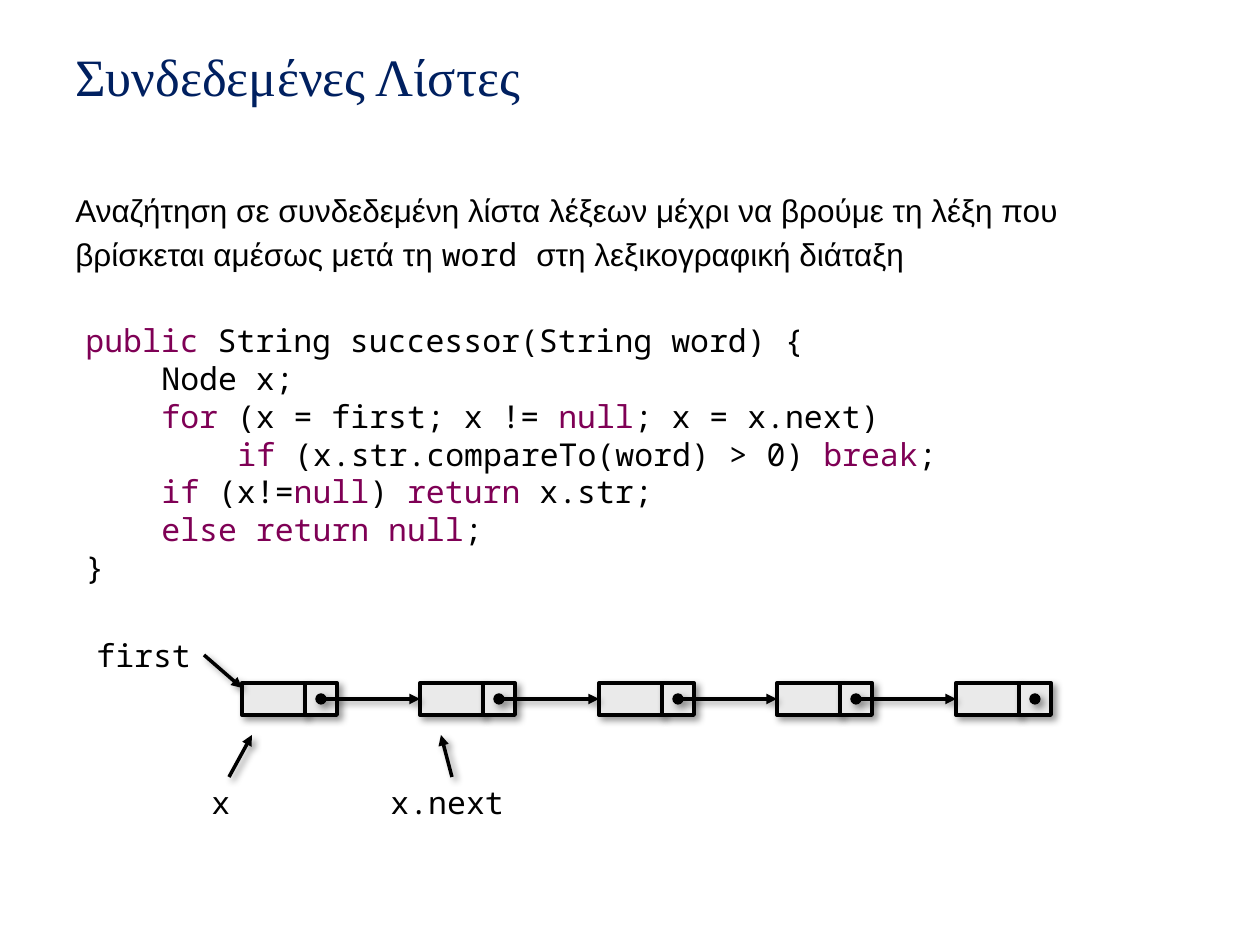
from pptx import Presentation
from pptx.dml.color import RGBColor
from pptx.enum.shapes import MSO_CONNECTOR, MSO_SHAPE
from pptx.enum.text import MSO_AUTO_SIZE
from pptx.oxml import parse_xml
from pptx.oxml.ns import nsdecls
from pptx.util import Pt

SCALE = 914400 // 126
SANS, MONO, SERIF = "Arial", "Noto Sans Mono", "Times New Roman"
BLACK, NAVY, KEYWORD, CELL_FILL = "000000", "002060", "7F0055", "EAEAEA"

TITLE = "Συνδεδεμένες Λίστες"
INTRO = [
    ("Αναζήτηση σε συνδεδεμένη λίστα λέξεων μέχρι να βρούμε τη λέξη που "
     "βρίσκεται αμέσως μετά τη ", SANS, BLACK),
    ("word ", MONO, BLACK),
    ("στη λεξικογραφική διάταξη", SANS, BLACK),
]
CODE = [
    (0, [("public", KEYWORD), (" String successor(String word) {", BLACK)]),
    (1, [("Node x;", BLACK)]),
    (1, [("for", KEYWORD), (" (x = first; x != ", BLACK), ("null", KEYWORD),
         ("; x = x.next)", BLACK)]),
    (2, [("if", KEYWORD), (" (x.str.compareTo(word) > 0) ", BLACK),
         ("break", KEYWORD), (";", BLACK)]),
    (1, [("if", KEYWORD), (" (x!=", BLACK), ("null", KEYWORD), (") ", BLACK),
         ("return ", KEYWORD), ("x.str;", BLACK)]),
    (1, [("else return null", KEYWORD), (";", BLACK)]),
    (0, [("}", BLACK)]),
]
LABELS = [("first", (84, 630, 120, 50)), ("x", (199, 777, 60, 50)),
          ("x.next", (378, 777, 147, 50))]
POINTERS = [(204, 655, 242, 688), (229, 777, 252, 735), (452, 777, 441, 735)]

NODE_COUNT = 5
FIRST_NODE, LAST_NODE = 242, 956
NODE_TOP, CELL_HEIGHT = 683, 32
VALUE_WIDTH, LINK_WIDTH, DOT_SIZE = 63, 32, 10
CODE_INDENT = 76


def px(*lengths):
    return [length * SCALE for length in lengths]


def color(value):
    return RGBColor.from_string(value)


def add_text(shapes, box, paragraphs, size=18, wrap=True, grow=True, spacing=None):
    frame = shapes.add_textbox(*px(*box)).text_frame
    fit = MSO_AUTO_SIZE.SHAPE_TO_FIT_TEXT if grow else MSO_AUTO_SIZE.NONE
    for name, value in {"word_wrap": wrap, "auto_size": fit}.items():
        setattr(frame, name, value)
    for index, (level, runs) in enumerate(paragraphs):
        paragraph = frame.add_paragraph() if index else frame.paragraphs[0]
        paragraph.line_spacing = spacing
        if level:
            properties = paragraph._p.get_or_add_pPr()
            properties.set("marL", str(level * CODE_INDENT * SCALE))
            properties.set("indent", "0")
        for text, font, ink in runs:
            run = paragraph.add_run()
            run.text = text
            run.font.color.rgb = color(ink)
            for name, value in {"name": font, "size": Pt(size)}.items():
                setattr(run.font, name, value)


def add_shadow(part):
    part._element.spPr.append(parse_xml(
        f'<a:effectLst {nsdecls("a")}>'
        f'<a:outerShdw blurRad="{Pt(4)}" dist="{Pt(3)}" dir="2700000" '
        f'algn="ctr" rotWithShape="0"><a:srgbClr val="{BLACK}">'
        '<a:alpha val="40000"/></a:srgbClr></a:outerShdw></a:effectLst>'))


def add_part(shapes, kind, box, fill, line_width):
    part = shapes.add_shape(kind, *px(*box))
    part.fill.solid()
    part.fill.fore_color.rgb = color(fill)
    part.line.color.rgb = color(BLACK)
    part.line.width = Pt(line_width)
    add_shadow(part)
    return part


def add_arrow(shapes, ends):
    arrow = shapes.add_connector(MSO_CONNECTOR.STRAIGHT, *ends)
    arrow.line.color.rgb = color(BLACK)
    arrow.line.width = Pt(2)
    arrow.line._get_or_add_ln().append(
        parse_xml(f'<a:tailEnd {nsdecls("a")} type="triangle"/>'))
    add_shadow(arrow)
    return arrow


def add_node(shapes, left):
    link_left = left + VALUE_WIDTH
    value = add_part(shapes, MSO_SHAPE.RECTANGLE,
                     (left, NODE_TOP, VALUE_WIDTH, CELL_HEIGHT), CELL_FILL, 2.25)
    add_part(shapes, MSO_SHAPE.RECTANGLE,
             (link_left, NODE_TOP, LINK_WIDTH, CELL_HEIGHT), CELL_FILL, 2.25)
    dot_left = link_left + (LINK_WIDTH - DOT_SIZE) // 2
    dot_top = NODE_TOP + (CELL_HEIGHT - DOT_SIZE) // 2
    dot = add_part(shapes, MSO_SHAPE.OVAL,
                   (dot_left, dot_top, DOT_SIZE, DOT_SIZE), BLACK, 0.75)
    return value, dot


def main():
    deck = Presentation()
    deck.slide_width, deck.slide_height = px(1260, 945)
    slide = deck.slides.add_slide(deck.slide_layouts[6])
    shapes = slide.shapes

    code = [(level, [(text, MONO, ink) for text, ink in runs]) for level, runs in CODE]
    add_text(shapes, (73, 315, 1134, 280), code)
    add_text(shapes, (63, 38, 1134, 67), [(0, [(TITLE, SERIF, NAVY)])], 30, grow=False)
    add_text(shapes, (63, 179, 1134, 97), [(0, INTRO)], spacing=Pt(25))

    linked_list = shapes.add_group_shape().shapes
    span = LAST_NODE - FIRST_NODE
    nodes = [add_node(linked_list, FIRST_NODE + span * i // (NODE_COUNT - 1))
             for i in range(NODE_COUNT)]
    for (_, dot), (next_value, _) in zip(nodes, nodes[1:]):
        middle = next_value.top + next_value.height // 2
        link = add_arrow(linked_list,
                         (dot.left + dot.width, middle, next_value.left, middle))
        link.end_connect(next_value, 1)

    for ends in POINTERS:
        add_arrow(shapes, px(*ends))
    for text, box in LABELS:
        add_text(shapes, box, [(0, [(text, MONO, BLACK)])], wrap=False)
    deck.save("out.pptx")


if __name__ == "__main__":
    main()
